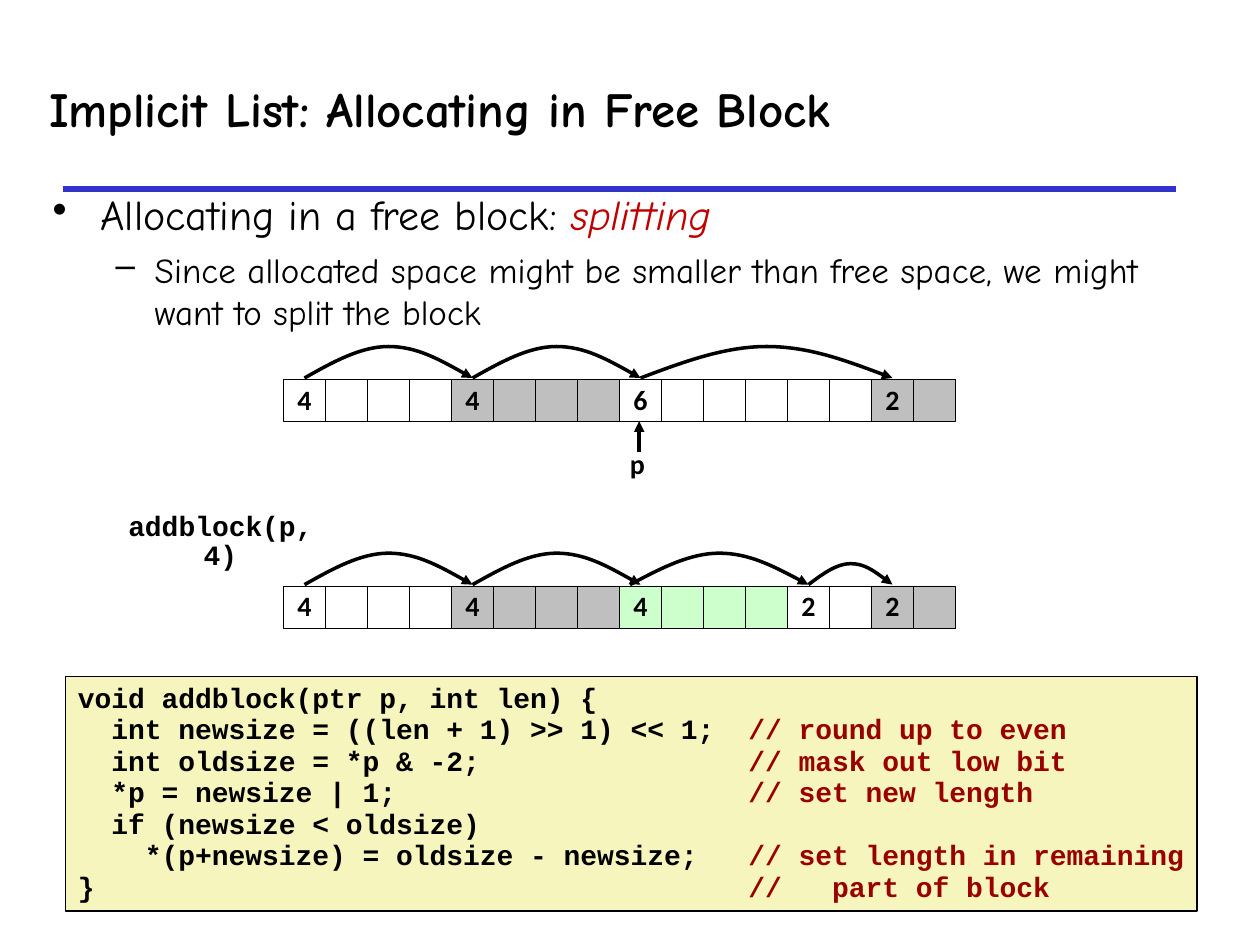
from lxml import etree
from pptx import Presentation
from pptx.dml.color import RGBColor
from pptx.enum.shapes import MSO_CONNECTOR, MSO_SHAPE
from pptx.enum.text import MSO_ANCHOR, PP_ALIGN
from pptx.oxml.ns import qn
from pptx.util import Inches, Pt

STRAIGHT = MSO_CONNECTOR.STRAIGHT
RECT = MSO_SHAPE.RECTANGLE
TOP, MIDDLE = MSO_ANCHOR.TOP, MSO_ANCHOR.MIDDLE
LEFT, CENTER = PP_ALIGN.LEFT, PP_ALIGN.CENTER

BLACK = RGBColor(0x00, 0x00, 0x00)
WHITE = RGBColor(0xFF, 0xFF, 0xFF)
GRAY = RGBColor(0xBF, 0xBF, 0xBF)
GREEN = RGBColor(0xCC, 0xFF, 0xCC)
CREAM = RGBColor(0xF6, 0xF5, 0xBD)
BLUE = RGBColor(0x33, 0x33, 0xCC)
RED = RGBColor(0xC0, 0x00, 0x00)
MAROON = RGBColor(0x99, 0x00, 0x00)

HAND, SANS, MONO = "Comic Neue", "Calibri", "Courier New"
COLS, ROWS = 120, 90
CELL = 4
START = 27
NOTE_COL = 40

POINTS = [
    ("void addblock(ptr p, int len) {", ""),
    ("  int newsize = ((len + 1) >> 1) << 1;", "// round up to even"),
    ("  int oldsize = *p & -2;", "// mask out low bit"),
    ("  *p = newsize | 1;", "// set new length"),
    ("  if (newsize < oldsize)", ""),
    ("    *(p+newsize) = oldsize - newsize;", "// set length in remaining"),
    ("}", "//   part of block"),
]
BEFORE = [(4, WHITE), (4, GRAY), (6, WHITE), (2, GRAY)]
AFTER = [(4, WHITE), (4, GRAY), (4, GREEN), (2, WHITE), (2, GRAY)]


class Page:
    def __init__(self):
        self.deck = Presentation()
        self.deck.slide_width = Inches(10)
        self.deck.slide_height = Inches(7.5)
        self.slide = self.deck.slides.add_slide(self.deck.slide_layouts[6])
        self.shapes = self.slide.shapes

    def x(self, cols):
        return round(self.deck.slide_width * cols / COLS)

    def y(self, rows):
        return round(self.deck.slide_height * rows / ROWS)

    def area(self, left, top, width, height):
        return self.x(left), self.y(top), self.x(width), self.y(height)

    def style(self, para, parts, size, face, bold=False):
        for text, color, slant in parts:
            run = para.add_run()
            run.text = text
            run.font.size = Pt(size)
            run.font.name = face
            run.font.bold = bold
            run.font.italic = slant
            run.font.color.rgb = color

    def text(self, place, words, size, face, align=LEFT, anchor=TOP, space=1.0, wrap=False):
        frame = self.shapes.add_textbox(*self.area(*place)).text_frame
        frame.word_wrap = wrap
        frame.vertical_anchor = anchor
        para = frame.paragraphs[0]
        para.alignment = align
        para.line_spacing = space
        self.style(para, [(words, BLACK, False)], size, face, True)

    def bullets(self, place, items):
        frame = self.shapes.add_textbox(*self.area(*place)).text_frame
        frame.word_wrap = True
        for n, (mark, indent, hang, size, parts) in enumerate(items):
            para = frame.add_paragraph() if n else frame.paragraphs[0]
            para.level = n
            if n:
                para.space_before = Pt(5)
            props = para._p.get_or_add_pPr()
            props.set("marL", str(Inches(indent)))
            props.set("indent", str(-Inches(hang)))
            etree.SubElement(props, qn("a:buChar")).set("char", mark)
            self.style(para, parts, size, HAND)

    def box(self, place, fill, weight):
        shape = self.shapes.add_shape(RECT, *self.area(*place))
        shape.shadow.inherit = False
        shape.fill.solid()
        shape.fill.fore_color.rgb = fill
        shape.line.color.rgb = BLACK
        shape.line.width = Pt(weight)
        shape.text_frame.word_wrap = False
        return shape

    def code(self, place, lines):
        frame = self.box(place, CREAM, 1).text_frame
        frame.vertical_anchor = TOP
        for n, (left, note) in enumerate(lines):
            para = frame.add_paragraph() if n else frame.paragraphs[0]
            para.alignment = LEFT
            para.line_spacing = 0.94
            parts = [(left, BLACK, False)]
            if note:
                parts = [(left.ljust(NOTE_COL), BLACK, False), (note, MAROON, False)]
            self.style(para, parts, 16, MONO, True)

    def head(self, line):
        tail = etree.SubElement(line._get_or_add_ln(), qn("a:tailEnd"))
        tail.set("type", "triangle")

    def rule(self, x1, y1, x2, y2, color, weight, arrow=False):
        line = self.shapes.add_connector(
            STRAIGHT, self.x(x1), self.y(y1), self.x(x2), self.y(y2))
        line.line.color.rgb = color
        line.line.width = Pt(weight)
        if arrow:
            self.head(line.line)
        etree.SubElement(line._element.spPr, qn("a:effectLst"))

    def arc(self, x1, x2, base):
        rise = min(3, (x2 - x1) / 4)
        wide, high = self.x(x2 - x1), self.y(rise)
        left, top = self.x(x1), self.y(base - rise)
        pen = self.shapes.build_freeform(left, top + high)
        pen.add_line_segments(
            [(left + wide // 2, top), (left + wide, top + high)], close=False)
        shape = pen.convert_to_shape()
        shape.shadow.inherit = False
        shape.fill.background()
        shape.line.color.rgb = BLACK
        shape.line.width = Pt(2)
        self.head(shape.line)
        halves = [[(1, 3), (2, 0), (3, 0)], [(4, 0), (5, 3), (6, 6)]]
        for old, knots in zip(shape._element.xpath(".//a:lnTo"), halves):
            curve = etree.Element(qn("a:cubicBezTo"))
            for across, down in knots:
                knot = etree.SubElement(curve, qn("a:pt"))
                knot.set("x", str(wide * across // 6))
                knot.set("y", str(high * down // 6))
            old.getparent().replace(old, curve)

    def heap(self, top, blocks, jumps):
        col = START
        for size, fill in blocks:
            for n in range(size):
                cell = self.box((col, top, CELL, CELL), fill, 0.25)
                if n == 0:
                    frame = cell.text_frame
                    frame.vertical_anchor = MIDDLE
                    para = frame.paragraphs[0]
                    para.alignment = CENTER
                    para.line_spacing = 0.98
                    self.style(para, [(str(size), BLACK, False)], 16, SANS, True)
                col += CELL
        for first, last in jumps:
            mid = START + CELL / 2
            self.arc(mid + first * CELL, mid + last * CELL, top - 0.12)


def main():
    page = Page()
    page.rule(6, 18, 112, 18, BLUE, 3)
    page.text((3.5, 6.5, 113, 7.5), "Implicit List: Allocating in Free Block",
              28, HAND, anchor=MIDDLE, wrap=True)
    page.bullets((3.84, 17.4, 109, 68.5), [
        ("•", 0.38, 0.38, 24, [("Allocating in a free block: ", BLACK, False),
                               ("splitting", RED, True)]),
        ("–", 0.81, 0.31, 20, [("Since allocated space might be smaller than free space, "
                                "we might want to split the block", BLACK, False)]),
    ])
    page.code((6.24, 64.44, 107.76, 22.32), POINTS)
    page.heap(36.12, BEFORE, [(0, 4), (4, 8), (8, 14)])
    page.rule(60.88, 43.08, 60.88, 40.12, BLACK, 2, arrow=True)
    page.text((58.8, 42.12, 3.84, 4.32), "p", 16, SANS, space=0.98)
    page.heap(55.8, AFTER, [(0, 4), (4, 8), (7.75, 12), (12, 14)])
    page.text((9.24, 48.36, 23.52, 3.96), "addblock(p, 4)", 16, MONO,
              align=CENTER, space=0.85)
    page.deck.save("out.pptx")


if __name__ == "__main__":
    main()
